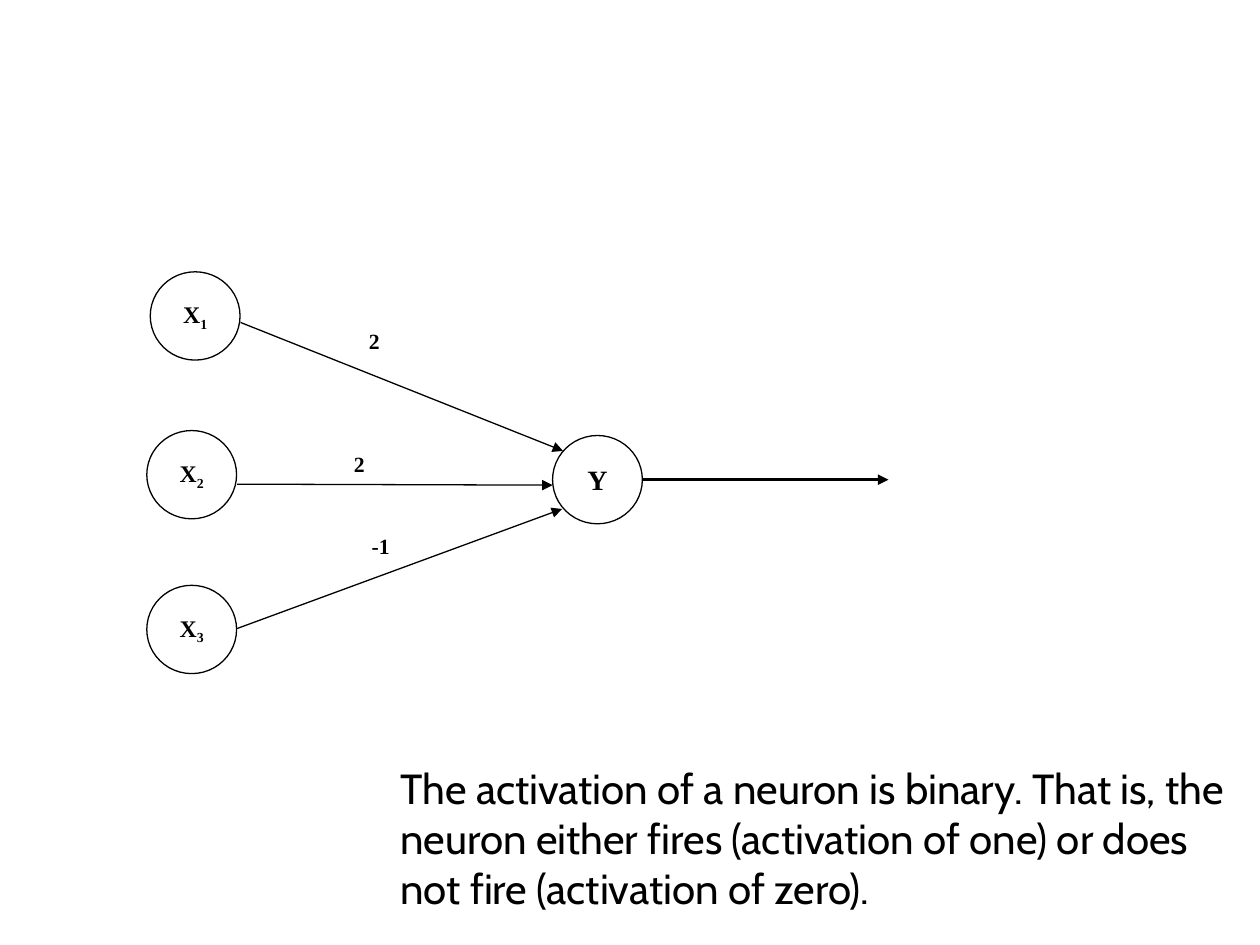
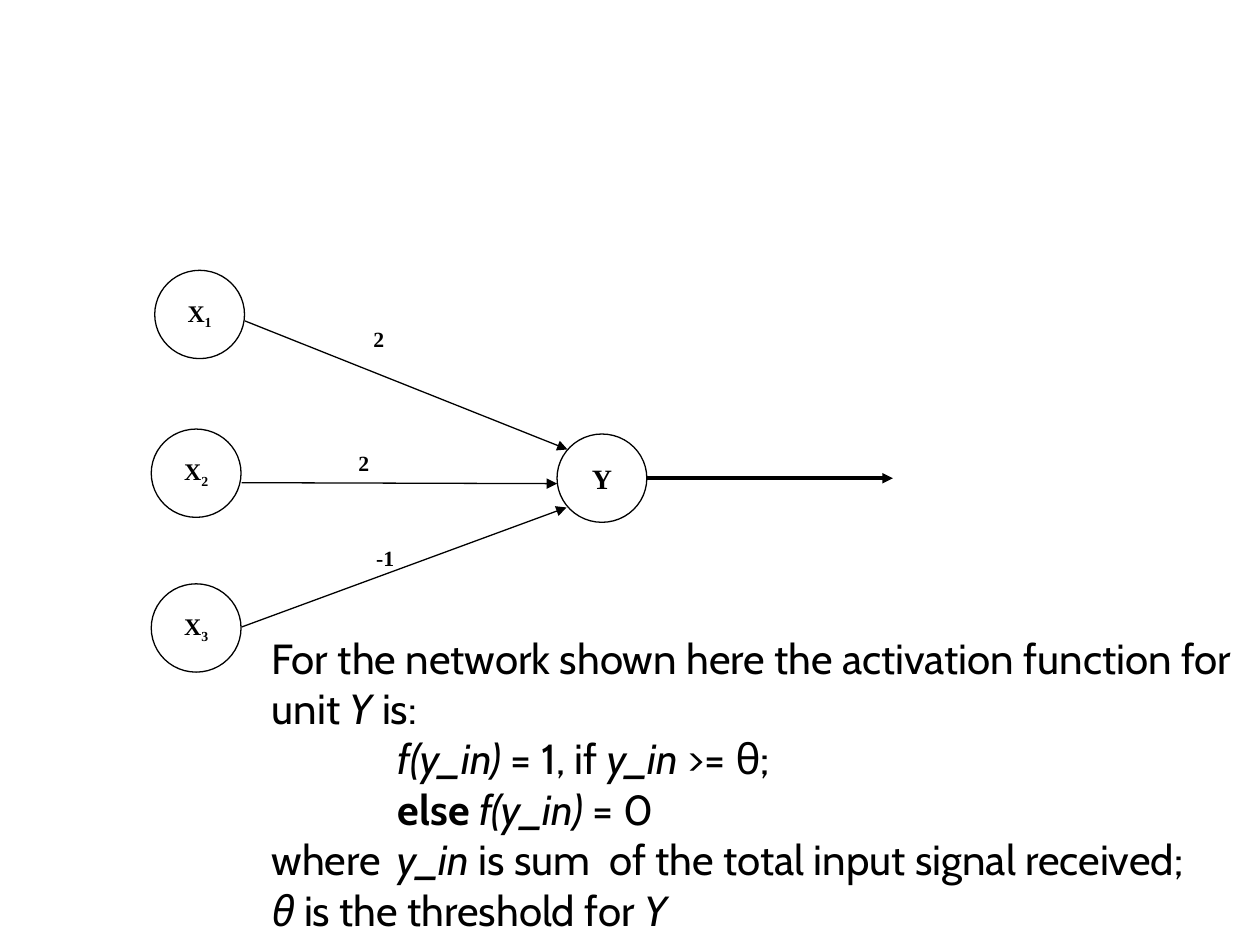
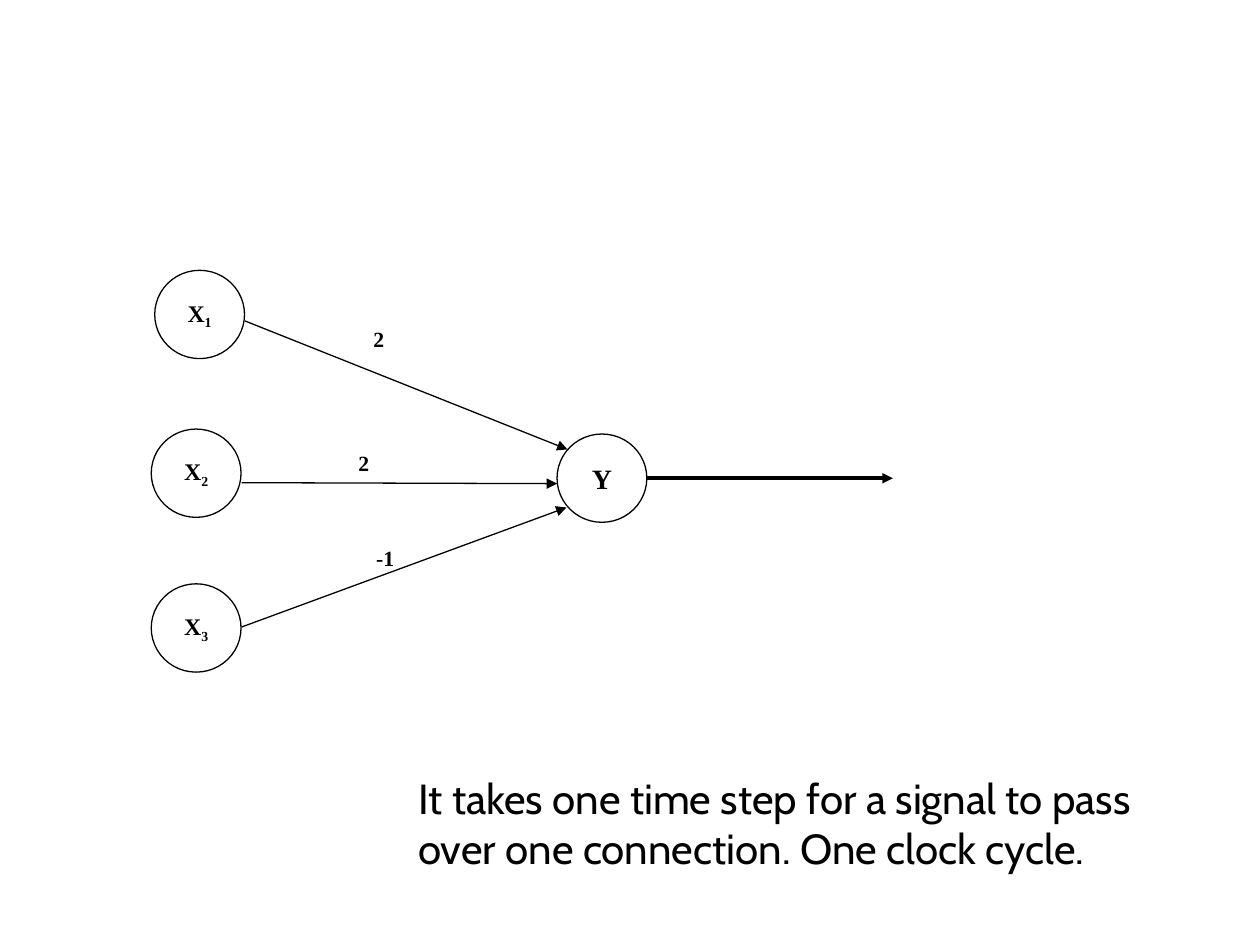
from dataclasses import dataclass

from lxml import etree
from pptx import Presentation
from pptx.dml.color import RGBColor
from pptx.enum.shapes import MSO_CONNECTOR, MSO_SHAPE
from pptx.enum.text import MSO_ANCHOR, PP_ALIGN
from pptx.oxml.ns import qn
from pptx.util import Cm, Pt

RECTANGLE, OVAL = MSO_SHAPE.RECTANGLE, MSO_SHAPE.OVAL
STRAIGHT = MSO_CONNECTOR.STRAIGHT
MIDDLE, CENTER = MSO_ANCHOR.MIDDLE, PP_ALIGN.CENTER


@dataclass(frozen=True)
class Theme:
    ink: RGBColor = RGBColor(0, 0, 0)
    paper: RGBColor = RGBColor(255, 255, 255)
    body_font: str = "Cabin"
    diagram_font: str = "Times New Roman"
    body_size: float = 24
    weight_size: float = 12.4
    input_size: float = 13.6
    output_size: float = 16
    line_width: float = 0.75
    tab: float = 2.54


# Network geometry in centimetres
NEURON_W, NEURON_H = 1.81, 1.78
NAME_W, NAME_H = 1.37, 0.94
WEIGHT_H = 0.84
INPUTS = [("1", 3.03, 5.48), ("2", 2.96, 8.68), ("3", 2.96, 11.8)]
OUTPUT = (11.14, 8.78)
CONNECTIONS = [
    (4.85, 6.5, 11.35, 9.09),
    (4.78, 9.76, 11.14, 9.78),
    (4.78, 12.67, 11.33, 10.26),
]
OUTPUT_SIGNAL = (12.95, 9.67, 17.91, 9.67)


class Deck:
    """Holds the style and the current slide; positions are in centimetres."""

    def __init__(self, theme):
        self.theme = theme
        self.presentation = Presentation()
        self.presentation.slide_width = Cm(25.4)
        self.presentation.slide_height = Cm(19.05)
        self.slide = None

    def new_slide(self):
        blank = self.presentation.slide_layouts[6]
        self.slide = self.presentation.slides.add_slide(blank)

    def style(self, paragraph, font_name, size, bold=False):
        font = paragraph.font
        font.name, font.size, font.bold = font_name, Pt(size), bold
        font.color.rgb = self.theme.ink

    def explanation(self, left, top, width, height, paragraphs):
        """Each paragraph is (indented, [(text, marks)]), marks from "b" and "i"."""
        box = self.slide.shapes.add_textbox(Cm(left), Cm(top), Cm(width), Cm(height))
        frame = box.text_frame
        frame.word_wrap = True
        for index, (indented, pieces) in enumerate(paragraphs):
            paragraph = frame.add_paragraph() if index else frame.paragraphs[0]
            properties = paragraph._p.get_or_add_pPr()
            tab = str(Cm(self.theme.tab))
            if indented:
                properties.set("marL", tab)
            stops = etree.SubElement(properties, qn("a:tabLst"))
            etree.SubElement(stops, qn("a:tab"), pos=tab, algn="l")
            self.style(paragraph, self.theme.body_font, self.theme.body_size)
            for text, marks in pieces:
                run = paragraph.add_run()
                run.text = text
                if "b" in marks:
                    run.font.bold = True
                if "i" in marks:
                    run.font.italic = True

    def shape(self, kind, left, top, width, height):
        shape = self.slide.shapes.add_shape(
            kind, Cm(left), Cm(top), Cm(width), Cm(height))
        shape.shadow.inherit = False
        shape.fill.solid()
        shape.fill.fore_color.rgb = self.theme.paper
        return shape

    def label(self, left, top, width, height, text, size, subscript=""):
        plate = self.shape(RECTANGLE, left, top, width, height)
        plate.line.fill.background()
        plate.text_frame.vertical_anchor = MIDDLE
        paragraph = plate.text_frame.paragraphs[0]
        paragraph.alignment = CENTER
        self.style(paragraph, self.theme.diagram_font, size, bold=True)
        paragraph.add_run().text = text
        if subscript:
            index = paragraph.add_run()
            index.text = subscript
            index.font._element.set("baseline", "-25000")

    def neuron(self, left, top, name, size, subscript=""):
        circle = self.shape(OVAL, left, top, NEURON_W, NEURON_H)
        circle.line.color.rgb = self.theme.ink
        circle.line.width = Pt(self.theme.line_width)
        self.label(left + (NEURON_W - NAME_W) / 2, top + (NEURON_H - NAME_H) / 2,
                   NAME_W, NAME_H, name, size, subscript)

    def arrow(self, x1, y1, x2, y2, width):
        arrow = self.slide.shapes.add_connector(
            STRAIGHT, Cm(x1), Cm(y1), Cm(x2), Cm(y2))
        arrow.line.color.rgb = self.theme.ink
        arrow.line.width = Pt(width)
        etree.SubElement(arrow.line._get_or_add_ln(), qn("a:tailEnd"), type="triangle")
        etree.SubElement(arrow._element.spPr, qn("a:effectLst"))

    def network(self, dx=0, dy=0, third_weight_top=10.85):
        """Three weighted inputs feeding one output neuron."""
        theme = self.theme
        weights = [("-1", 6.86, third_weight_top, 1.63),
                   ("2", 6.76, 8.94, 0.97), ("2", 7.06, 6.45, 0.97)]
        for value, left, top, width in weights:
            self.label(left + dx, top + dy, width, WEIGHT_H, value, theme.weight_size)
        for number, left, top in INPUTS:
            self.neuron(left + dx, top + dy, "X", theme.input_size, number)
        self.neuron(OUTPUT[0] + dx, OUTPUT[1] + dy, "Y", theme.output_size)

        widths = [theme.line_width] * len(CONNECTIONS) + [0]
        for (x1, y1, x2, y2), width in zip(CONNECTIONS + [OUTPUT_SIGNAL], widths):
            self.arrow(x1 + dx, y1 + dy, x2 + dx, y2 + dy, width)


def main():
    deck = Deck(Theme())
    shift = {"dx": 0.09, "dy": -0.03}

    # Binary activation
    deck.new_slide()
    deck.explanation(7.82, 15.24, 17.25, 3.3, [
        (False, [("The activation of a neuron is binary. That is, the neuron either "
                  "fires (activation of one) or does not fire (activation of zero).", "")]),
    ])
    deck.network(third_weight_top=10.59)

    # Activation function
    deck.new_slide()
    deck.explanation(5.23, 12.62, 20.55, 7.37, [
        (False, [("For the network shown here the activation function for unit ", ""),
                 ("Y", "i"), (" is:", "")]),
        (True, [("f(y_in)", "i"), (" = 1, if ", ""), ("y_in", "i"), (" >= θ;", "")]),
        (True, [("else ", "b"), ("f(y_in)", "i"), (" = 0", "")]),
        (False, [("where\t", ""), ("y_in", "i"),
                 (" is sum  of the total input signal received;", "")]),
        (False, [("θ", "i"), (" is the threshold for ", ""), ("Y", "i")]),
    ])
    deck.network(**shift)

    # Time step
    deck.new_slide()
    deck.explanation(8.18, 15.44, 15.85, 3.3, [
        (False, [("It takes one time step for a signal to pass over one connection. "
                  "One clock cycle.", "")]),
    ])
    deck.network(**shift)

    deck.presentation.save("out.pptx")


if __name__ == "__main__":
    main()
